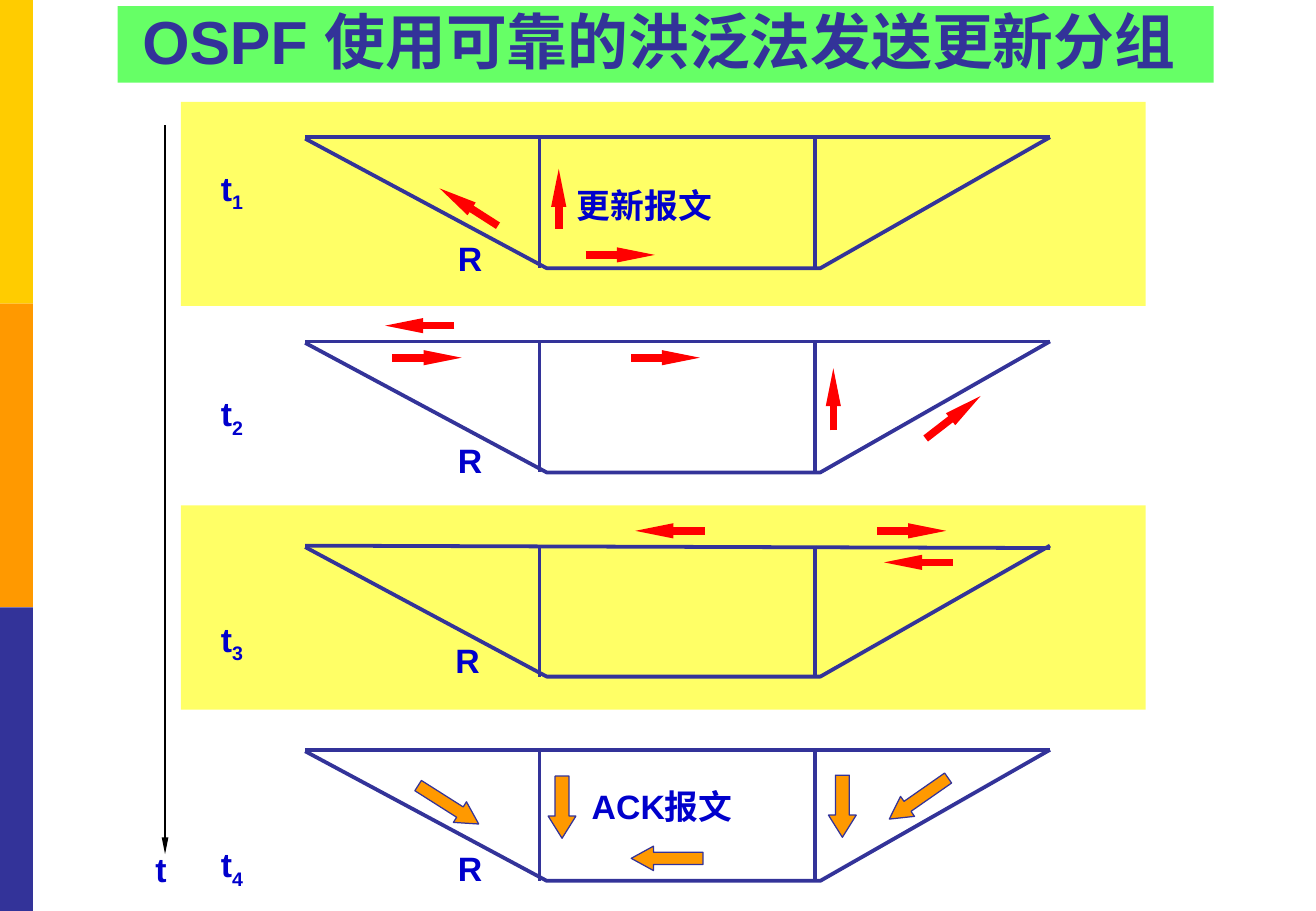
from dataclasses import dataclass
from typing import Optional

from lxml import etree
from pptx import Presentation
from pptx import util as u
from pptx.dml.color import RGBColor
from pptx.enum import shapes, text
from pptx.oxml.ns import qn

GOLD = RGBColor(0xFF, 0xCC, 0x00)
ORANGE = RGBColor(0xFF, 0x99, 0x00)
NAVY = RGBColor(0x33, 0x33, 0x99)
GREEN = RGBColor(0x66, 0xFF, 0x66)
YELLOW = RGBColor(0xFF, 0xFF, 0x66)
BLUE = RGBColor(0x00, 0x00, 0xCC)
RED = RGBColor(0xFF, 0x00, 0x00)
BLACK = RGBColor(0x00, 0x00, 0x00)

# All coordinates below are centimetres.
NETWORK_TOP, NETWORK_PITCH, NETWORK_HEIGHT = 2.87, 4.27, 2.74
NETWORK_LEFT, NETWORK_RIGHT = 6.38, 21.95
BASE_LEFT, BASE_RIGHT = 11.43, 17.15
LINK_XS = (11.28, 17.04)
TOP_LINE_DROPS = (0, 0, 0.05, 0)

TITLE_FORMAT = {"name": "Arial", "size": u.Pt(36), "bold": True}
LABEL_FORMAT = {"name": "Arial", "size": u.Pt(20), "bold": True}


@dataclass
class Box:
    x: float
    y: float
    w: float
    h: float
    fill: RGBColor


@dataclass
class Label:
    text: str
    x: float
    y: float
    w: float
    wrap: bool = False


@dataclass
class Arrow:
    x1: float
    y1: float
    x2: float
    y2: float


@dataclass
class BlockArrow:
    x: float
    y: float
    w: float
    h: float
    head: float
    rotation: float = 0


SIDE_BANDS = [Box(0, 6.35 * i, 0.69, 6.35, c) for i, c in enumerate((GOLD, ORANGE, NAVY))]
ROW_BANDS = [Box(3.78, y, 20.17, 4.27, YELLOW) for y in (2.13, 10.57)]
TITLE_BOX = Box(2.46, 0.13, 22.91, 1.6, GREEN)

UPDATE_ARROWS = [
    # t1
    Arrow(12.24, 5.33, 13.69, 5.33),
    Arrow(10.41, 4.72, 9.19, 3.94),
    Arrow(11.68, 4.78, 11.68, 3.53),
    # t2
    Arrow(19.35, 9.17, 20.5, 8.28),
    Arrow(17.42, 9.0, 17.42, 7.7),
    Arrow(9.5, 6.81, 8.05, 6.81),
    Arrow(13.2, 7.48, 14.63, 7.48),
    Arrow(8.2, 7.48, 9.65, 7.48),
    # t3
    Arrow(14.73, 11.1, 13.28, 11.1),
    Arrow(18.34, 11.1, 19.78, 11.1),
    Arrow(19.92, 11.76, 18.48, 11.76),
]
ACK_ARROWS = [
    BlockArrow(11.46, 16.23, 0.58, 1.3, 0.8),
    BlockArrow(17.32, 16.21, 0.58, 1.3, 0.8),
    BlockArrow(13.69, 17.2, 0.51, 1.5, 0.91, 90),
    BlockArrow(18.95, 15.95, 0.51, 1.5, 0.91, 55.1),
    BlockArrow(9.12, 16.08, 0.51, 1.5, 0.91, 302.4),
]
LABELS = [
    Label("更新报文", 11.81, 3.73, 3.35),
    Label("ACK报文", 12.12, 16.31, 3.51, wrap=True),
    Label("t", 3.0, 17.63, 0.76),
    Label("R", 9.32, 4.85, 1.02),
    Label("R", 9.32, 9.07, 1.02),
    Label("R", 9.27, 13.26, 1.02),
    Label("R", 9.32, 17.6, 1.02),
]


def add_run(p, content: str, format_values: dict, color: RGBColor):
    r = p.add_run()
    r.text = content
    for name, value in format_values.items():
        setattr(r.font, name, value)
    r.font.color.rgb = color
    return r


def add_box(slide, box: Box):
    sp = slide.shapes.add_shape(shapes.MSO_SHAPE.RECTANGLE, *map(u.Cm, (box.x, box.y, box.w, box.h)))
    sp.shadow.inherit = False
    sp.fill.solid()
    sp.fill.fore_color.rgb = box.fill
    sp.line.fill.background()
    return sp


def add_title(slide) -> None:
    tf = add_box(slide, TITLE_BOX).text_frame
    tf.word_wrap = True
    tf.vertical_anchor = text.MSO_ANCHOR.BOTTOM
    p = tf.paragraphs[0]
    p.alignment = text.PP_ALIGN.CENTER
    add_run(p, "OSPF 使用可靠的洪泛法发送更新分组 ", TITLE_FORMAT, NAVY)


def add_text_frame(slide, x: float, y: float, w: float, h: float, wrap: bool):
    tf = slide.shapes.add_textbox(*map(u.Cm, (x, y, w, h))).text_frame
    tf.word_wrap = wrap
    return tf


def add_label(slide, label: Label) -> None:
    tf = add_text_frame(slide, label.x, label.y, label.w, 1.12, label.wrap)
    add_run(tf.paragraphs[0], label.text, LABEL_FORMAT, BLUE)


def add_time_labels(slide) -> None:
    """One column of t1 to t4, spaced evenly down the slide."""
    tf = add_text_frame(slide, 4.37, 3.33, 1.02, 14.63, False)
    for i in range(1, 5):
        p = tf.paragraphs[0] if i == 1 else tf.add_paragraph()
        p.line_spacing = 1.05
        if i > 1:
            p.space_before = u.Pt(105)
        add_run(p, "t", LABEL_FORMAT, BLUE)
        subscript = add_run(p, str(i), LABEL_FORMAT, BLUE)
        subscript.font._element.set("baseline", "-25000")


def add_line(slide, line: Arrow, color: RGBColor, width: float, head: Optional[str] = None) -> None:
    cx = slide.shapes.add_connector(
        shapes.MSO_CONNECTOR.STRAIGHT, *map(u.Cm, (line.x1, line.y1, line.x2, line.y2)))
    cx.line.color.rgb = color
    cx.line.width = u.Pt(width)
    if head:
        ln = cx.line._get_or_add_ln()
        etree.SubElement(ln, qn("a:tailEnd"), type=head, w="sm", len="lg")
    etree.SubElement(cx._element.spPr, qn("a:effectLst"))


def add_network(slide, y: float, drop: float) -> None:
    """Six routers: a top line, a sloped outline below it and two upright links."""
    bottom = y + NETWORK_HEIGHT
    add_line(slide, Arrow(NETWORK_LEFT, y, NETWORK_RIGHT, y + drop), NAVY, 2.25)
    outline = slide.shapes.build_freeform(u.Cm(NETWORK_LEFT), u.Cm(y + 0.03))
    corners = ((BASE_LEFT, bottom), (BASE_RIGHT, bottom), (NETWORK_RIGHT, y))
    outline.add_line_segments([(u.Cm(cx), u.Cm(cy)) for cx, cy in corners], close=False)
    sp = outline.convert_to_shape()
    sp.shadow.inherit = False
    sp.fill.background()
    sp.line.color.rgb = NAVY
    sp.line.width = u.Pt(2.25)
    for x in LINK_XS:
        add_line(slide, Arrow(x, y, x, bottom), NAVY, 2.25)


def add_block_arrow(slide, arrow: BlockArrow) -> None:
    sp = slide.shapes.add_shape(
        shapes.MSO_SHAPE.DOWN_ARROW, *map(u.Cm, (arrow.x, arrow.y, arrow.w, arrow.h)))
    sp.shadow.inherit = False
    sp.adjustments[1] = arrow.head
    sp.rotation = arrow.rotation
    sp.fill.solid()
    sp.fill.fore_color.rgb = ORANGE
    sp.line.color.rgb = NAVY
    sp.line.width = u.Pt(0.75)


def main() -> None:
    prs = Presentation()
    prs.slide_width, prs.slide_height = u.Cm(27.51), u.Cm(19.05)
    slide = prs.slides.add_slide(prs.slide_layouts[6])
    for box in SIDE_BANDS + ROW_BANDS:
        add_box(slide, box)
    add_title(slide)
    for i, drop in enumerate(TOP_LINE_DROPS):
        add_network(slide, NETWORK_TOP + NETWORK_PITCH * i, drop)
    for arrow in UPDATE_ARROWS:
        add_line(slide, arrow, RED, 4.5, "triangle")
    for block in ACK_ARROWS:
        add_block_arrow(slide, block)
    add_line(slide, Arrow(3.45, 2.62, 3.45, 17.86), BLACK, 0.75, "triangle")
    for label in LABELS:
        add_label(slide, label)
    add_time_labels(slide)
    prs.save("out.pptx")


if __name__ == "__main__":
    main()
